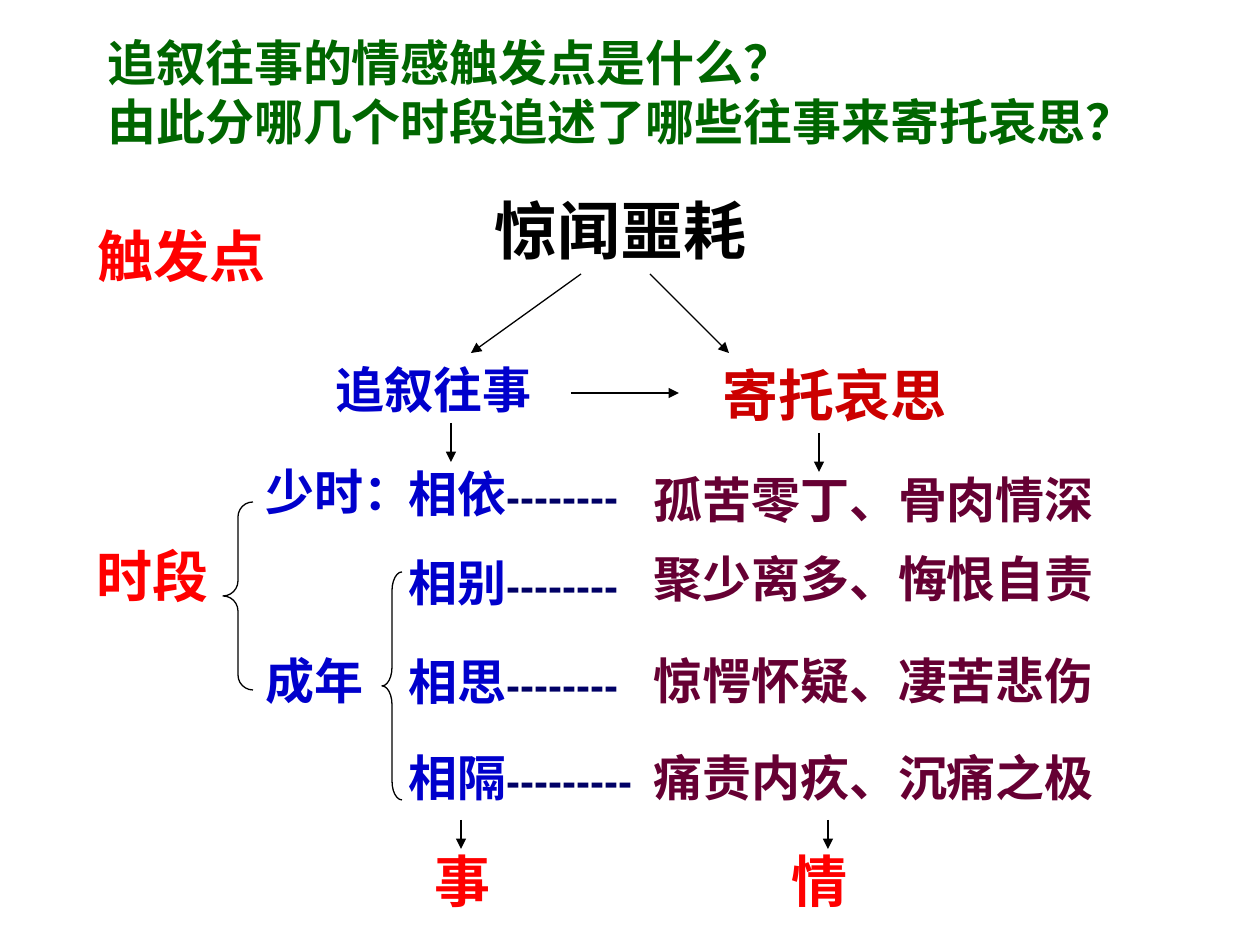
from lxml import etree
from pptx import Presentation
from pptx import util as u
from pptx.dml.color import RGBColor
from pptx.enum import shapes, text
from pptx.oxml.ns import qn

PX = u.Inches(1) / 126
COLORS = {
    "question": "006600",
    "ink": "000000",
    "event": "0000CC",
    "sorrow": "CC0000",
    "label": "FF0000",
    "dash": "000066",
    "feeling": "660033",
}


def emu(*lengths):
    return [u.Emu(round(length * PX)) for length in lengths]


class Diagram:
    font = "Arial"
    line_width = u.Pt(0.75)

    def __init__(self, slide):
        self.slide = slide

    def text(self, box, *paragraphs):
        """Add a text box; each paragraph is a list of (wording, size, color) runs."""
        shape = self.slide.shapes.add_textbox(*emu(*box))
        frame = shape.text_frame
        frame.word_wrap = False
        frame.auto_size = text.MSO_AUTO_SIZE.SHAPE_TO_FIT_TEXT
        for index, runs in enumerate(paragraphs):
            paragraph = frame.add_paragraph() if index else frame.paragraphs[0]
            for wording, size, color in runs:
                run = paragraph.add_run()
                run.text = wording
                run.font.name = self.font
                run.font.size = u.Pt(size)
                run.font.bold = True
                run.font.color.rgb = RGBColor.from_string(COLORS[color])

    def outline(self, line):
        line.color.rgb = RGBColor.from_string(COLORS["ink"])
        line.width = self.line_width

    def arrow(self, *ends):
        connector = self.slide.shapes.add_connector(
            shapes.MSO_CONNECTOR.STRAIGHT, *emu(*ends))
        self.outline(connector.line)
        properties = connector._element.spPr
        etree.SubElement(properties.find(qn("a:ln")), qn("a:tailEnd"), type="triangle")
        etree.SubElement(properties, qn("a:effectLst"))

    def brace(self, box, curve):
        shape = self.slide.shapes.add_shape(
            shapes.MSO_SHAPE.LEFT_BRACE, *emu(*box))
        shape.adjustments[0] = curve
        shape.shadow.inherit = False
        shape.fill.background()
        self.outline(shape.line)


def main():
    presentation = Presentation()
    presentation.slide_width = u.Inches(10)
    presentation.slide_height = u.Inches(7.5)
    diagram = Diagram(presentation.slides.add_slide(presentation.slide_layouts[6]))

    diagram.text(
        (95, 26, 1056, 131),
        [("追叙往事的情感触发点是什么？", 28, "question")],
        [("由此分哪几个时段追述了哪些往事来寄托哀思？", 28, "question")],
    )

    labels = [
        ("惊闻噩耗", 36, "ink", (482, 185, 280, 88)),
        ("追叙往事", 28, "event", (323, 353, 225, 72)),
        ("寄托哀思", 32, "sorrow", (710, 354, 254, 81)),
        ("触发点", 32, "label", (85, 215, 197, 81)),
        ("时段", 32, "label", (84, 535, 141, 81)),
        ("少时：", 28, "event", (253, 455, 175, 72)),
        ("成年", 28, "event", (253, 644, 127, 72)),
        ("事", 32, "label", (422, 840, 84, 81)),
        ("情", 32, "label", (779, 840, 84, 81)),
    ]
    for wording, size, color, box in labels:
        diagram.text(box, [(wording, size, color)])

    stages = [
        ("相依", 8, 457, "孤苦零丁、骨肉情深", 463),
        ("相别", 8, 546, "聚少离多、悔恨自责", 542),
        ("相思", 8, 645, "惊愕怀疑、凄苦悲伤", 644),
        ("相隔", 9, 741, "痛责内疚、沉痛之极", 741),
    ]
    for event, dashes, event_top, feeling, feeling_top in stages:
        diagram.text((396, event_top, 138 + 14 * dashes, 72),
                     [(event, 28, "event"), ("-" * dashes, 24, "dash")])
        diagram.text((641, feeling_top, 472, 72), [(feeling, 28, "feeling")])

    diagram.brace((223, 502, 30, 188), 0.5)
    diagram.brace((382, 572, 20, 228), 0.94)

    diagram.arrow(581, 274, 471, 353)
    diagram.arrow(650, 274, 729, 353)
    diagram.arrow(571, 393, 679, 393)
    for x, top, length in [(451, 423, 39), (819, 433, 39), (461, 820, 29), (828, 820, 29)]:
        diagram.arrow(x, top, x, top + length)

    presentation.save("out.pptx")


if __name__ == "__main__":
    main()
